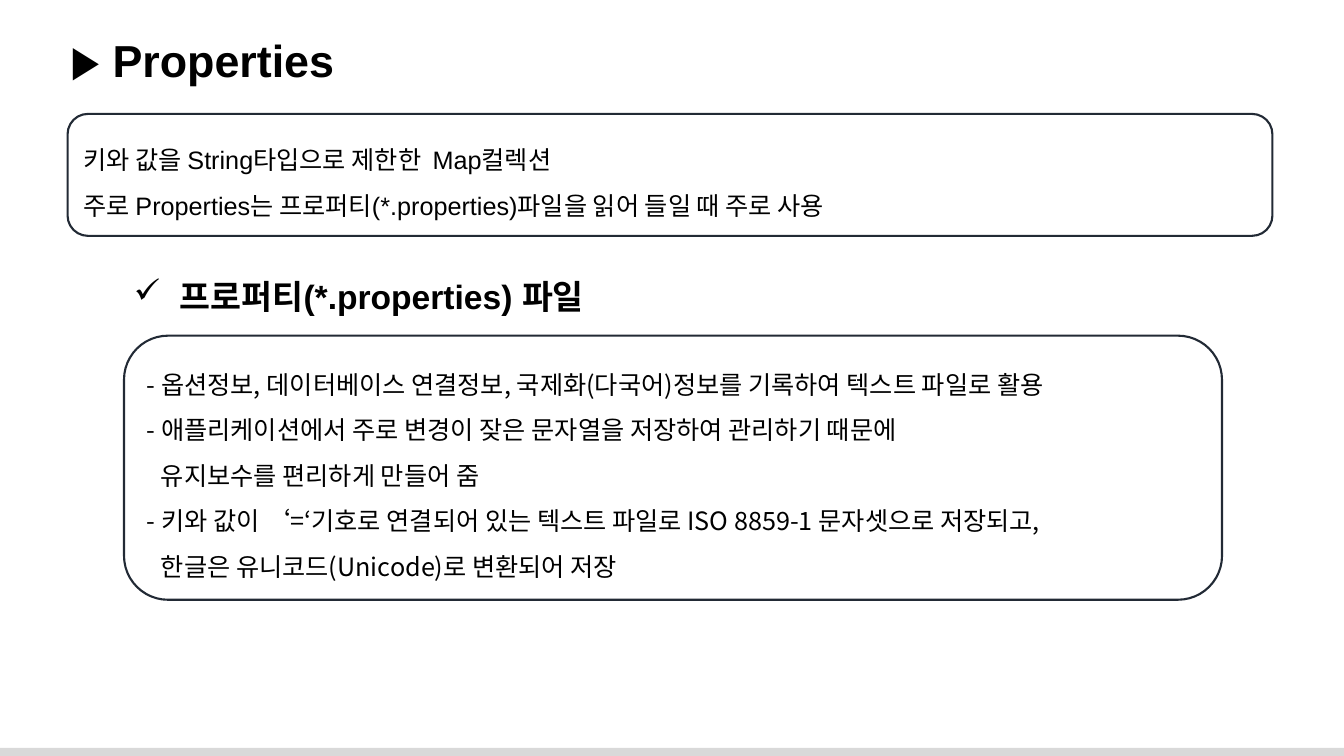
from lxml.etree import SubElement
from pptx import Presentation
from pptx.dml.color import RGBColor
from pptx.enum.shapes import MSO_SHAPE
from pptx.enum.text import MSO_ANCHOR, PP_ALIGN
from pptx.oxml.ns import qn
from pptx.util import Inches, Pt

COLORS = {"text": "000000", "outline": "222A35", "footer": "D9D9D9"}
LATIN, KOREAN = "Arial", "Noto Sans CJK KR"
WIDTH, HEIGHT = 13.33, 7.5
FOOTER_HEIGHT = 0.08
CONTINUATION_INDENT = 0.14
BULLET_INDENT = 0.38

TITLE = "▶ Properties"
FILE_HEADING = " 프로퍼티(*.properties) 파일"
# Each line: text, and whether it continues the line before
SUMMARY = [
    ("키와 값을 String타입으로 제한한  Map컬렉션", False),
    ("주로 Properties는 프로퍼티(*.properties)파일을 읽어 들일 때 주로 사용", False),
]
FILE_NOTES = [
    ("- 옵션정보, 데이터베이스 연결정보, 국제화(다국어)정보를 기록하여 텍스트 파일로 활용", False),
    ("- 애플리케이션에서 주로 변경이 잦은 문자열을 저장하여 관리하기 때문에", False),
    ("유지보수를 편리하게 만들어 줌", True),
    ("- 키와 값이 ‘=‘기호로 연결되어 있는 텍스트 파일로 ISO 8859-1 문자셋으로 저장되고,", False),
    ("한글은 유니코드(Unicode)로 변환되어 저장", True),
]


def color(name):
    return RGBColor.from_string(COLORS[name])


def add_span(para, text, size, font=LATIN, bold=False):
    span = para.add_run()
    span.text = text
    span.font.size = Pt(size)
    span.font.name = font
    span.font.bold = bold
    span.font.color.rgb = color("text")
    SubElement(span.font._element, qn("a:ea"), typeface=KOREAN)


def add_heading(page, place, text, size, wrap):
    box = page.shapes.add_textbox(*map(Inches, place))
    box.text_frame.word_wrap = wrap
    para = box.text_frame.paragraphs[0]
    add_span(para, text, size, bold=True)
    return para


def add_check_bullet(para):
    properties = para._p.get_or_add_pPr()
    properties.set("marL", str(Inches(BULLET_INDENT)))
    properties.set("indent", str(-Inches(BULLET_INDENT)))
    SubElement(properties, qn("a:buChar"), char="✓")


def add_panel(page, place, lines, font):
    panel = page.shapes.add_shape(MSO_SHAPE.ROUNDED_RECTANGLE, *map(Inches, place))
    panel.shadow.inherit = False
    panel.fill.background()
    panel.line.color.rgb = color("outline")
    panel.line.width = Pt(1.5)
    frame = panel.text_frame
    frame.word_wrap = True
    frame.vertical_anchor = MSO_ANCHOR.MIDDLE
    for index, (text, continues) in enumerate(lines):
        para = frame.add_paragraph() if index else frame.paragraphs[0]
        para.alignment = PP_ALIGN.LEFT
        para.line_spacing = 1.5
        if continues:
            para._p.get_or_add_pPr().set("marL", str(Inches(CONTINUATION_INDENT)))
        add_span(para, text, 18, font)


def add_footer(page):
    place = (0, HEIGHT - FOOTER_HEIGHT, WIDTH, FOOTER_HEIGHT)
    footer = page.shapes.add_shape(MSO_SHAPE.RECTANGLE, *map(Inches, place))
    footer.shadow.inherit = False
    footer.fill.solid()
    footer.fill.fore_color.rgb = color("footer")
    footer.line.fill.background()


def main():
    deck = Presentation()
    deck.slide_width, deck.slide_height = Inches(WIDTH), Inches(HEIGHT)
    page = deck.slides.add_slide(deck.slide_layouts[6])
    add_footer(page)
    add_heading(page, (0.6, 0.28, 12.6, 0.64), TITLE, 32, wrap=True)
    add_panel(page, (0.67, 1.13, 11.95, 1.21), SUMMARY, LATIN)
    file_heading = add_heading(page, (1.23, 2.69, 4.98, 0.5), FILE_HEADING, 24, wrap=False)
    add_check_bullet(file_heading)
    add_panel(page, (1.23, 3.33, 10.89, 2.62), FILE_NOTES, KOREAN)
    deck.save("out.pptx")


if __name__ == "__main__":
    main()
